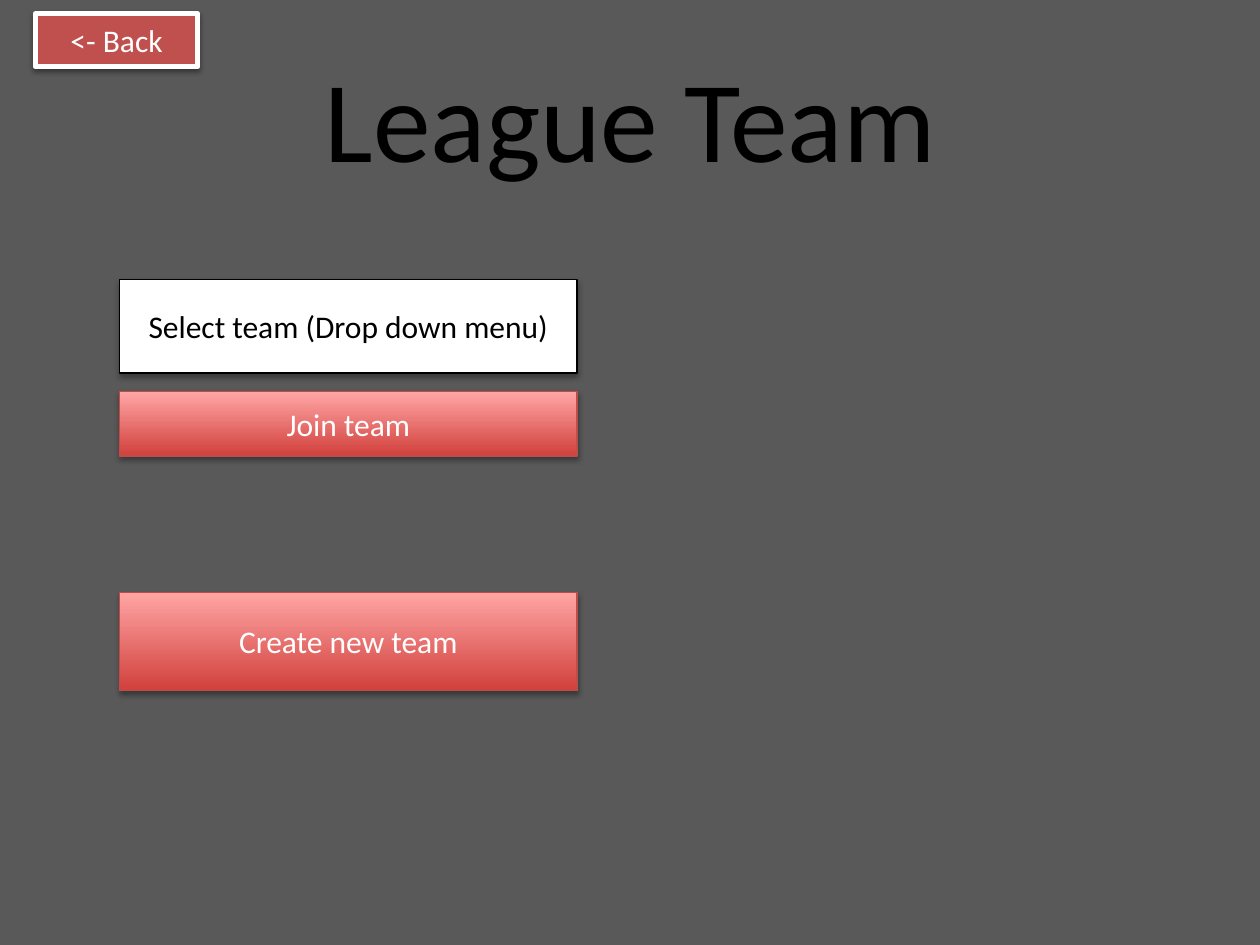
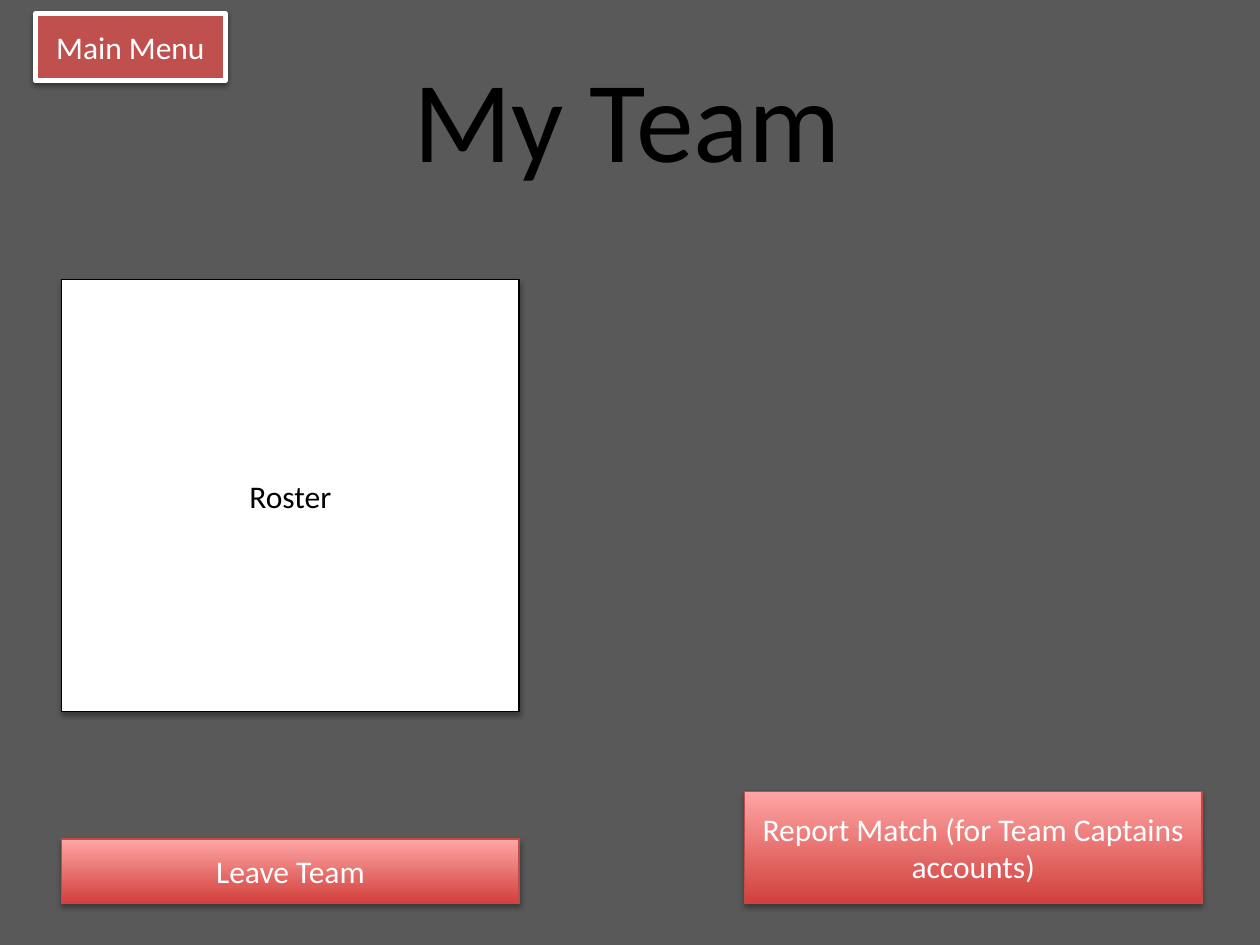
from dataclasses import dataclass

from lxml.etree import SubElement
from pptx import Presentation
from pptx.dml.color import RGBColor
from pptx.enum.shapes import MSO_SHAPE
from pptx.enum.text import MSO_ANCHOR, MSO_AUTO_SIZE, PP_ALIGN
from pptx.oxml.ns import qn
from pptx.util import Inches, Pt


@dataclass(frozen=True)
class Theme:
    font: str = "Calibri"
    title: int = 66
    label: int = 18
    back: str = "595959"
    black: str = "000000"
    white: str = "FFFFFF"
    brick: str = "C0504D"
    edge: str = "BF4C48"
    deep: str = "D1403C"
    light: str = "FFA6A5"


THEME = Theme()


@dataclass(frozen=True)
class Look:
    fills: tuple[str, ...]
    line: str
    ink: str
    width: float = 0.75
    alpha: int = 35
    drop: float = 1.8


ACTION = Look((THEME.deep, THEME.light), THEME.edge, THEME.white)
FIELD = Look((THEME.white,), THEME.black, THEME.black)
NAV = Look((THEME.brick,), THEME.white, THEME.white, 3, 38, 1.6)


@dataclass(frozen=True)
class Box:
    text: str
    left: float
    top: float
    width: float
    height: float
    look: Look


@dataclass(frozen=True)
class Page:
    title: str
    left: float
    width: float
    boxes: tuple[Box, ...]


WIDE = 3.63
SLIM = 0.51
BODY = 2.22
BASE = 7.17


def nav(text: str, width: float, height: float) -> Box:
    return Box(text, 0.28, 0.11, width, height, NAV)


PAGES = (
    Page("League Team", 2.48, 5.87, (
        Box("Join team", 0.95, 3.11, WIDE, SLIM, ACTION),
        Box("Select team (Drop down menu)", 0.95, BODY, WIDE, 0.74, FIELD),
        Box("Create new team", 0.95, 4.7, WIDE, 0.78, ACTION),
        nav("<- Back", 1.29, 0.42),
    )),
    Page("My Team", 3.18, 6.94, (
        Box("Roster", 0.49, BODY, WIDE, 3.43, FIELD),
        Box("Report Match (for Team Captains accounts)",
            5.91, BASE - 0.89, WIDE, 0.89, ACTION),
        Box("Leave Team", 0.49, BASE - SLIM, WIDE, SLIM, ACTION),
        nav("Main Menu", 1.51, 0.53),
    )),
)


def rgb(code: str) -> RGBColor:
    return RGBColor.from_string(code)


def write(frame, text: str, size: int, ink: str, align: PP_ALIGN) -> None:
    frame.word_wrap = True
    para = frame.paragraphs[0]
    para.text = text
    para.alignment = align
    para.font.name = THEME.font
    para.font.size = Pt(size)
    para.font.color.rgb = rgb(ink)


def shade(shape, look: Look) -> None:
    shape.shadow.inherit = False
    effects = shape._element.spPr.find(qn("a:effectLst"))
    outer = SubElement(effects, qn("a:outerShdw"), blurRad=str(Pt(3.1)),
                       dist=str(Pt(look.drop)), dir="5400000", rotWithShape="0")
    tint = SubElement(outer, qn("a:srgbClr"), val=THEME.black)
    SubElement(tint, qn("a:alpha"), val=str(look.alpha * 1000))


def paint(shape, look: Look) -> None:
    if len(look.fills) == 1:
        shape.fill.solid()
        shape.fill.fore_color.rgb = rgb(look.fills[0])
    else:
        shape.fill.gradient()
        shape.fill.gradient_angle = 90
        for stop, code in zip(shape.fill.gradient_stops, look.fills):
            stop.color.rgb = rgb(code)
    shape.line.color.rgb = rgb(look.line)
    shape.line.width = Pt(look.width)
    shade(shape, look)


def draw_box(slide, box: Box) -> None:
    shape = slide.shapes.add_shape(
        MSO_SHAPE.RECTANGLE, Inches(box.left), Inches(box.top),
        Inches(box.width), Inches(box.height))
    paint(shape, box.look)
    shape.text_frame.vertical_anchor = MSO_ANCHOR.MIDDLE
    write(shape.text_frame, box.text, THEME.label, box.look.ink, PP_ALIGN.CENTER)


def draw_page(deck, page: Page) -> None:
    slide = deck.slides.add_slide(deck.slide_layouts[6])
    slide.background.fill.solid()
    slide.background.fill.fore_color.rgb = rgb(THEME.back)
    title = slide.shapes.add_textbox(
        Inches(page.left), Inches(0.32), Inches(page.width), Inches(1.21))
    write(title.text_frame, page.title, THEME.title, THEME.black, PP_ALIGN.LEFT)
    title.text_frame.auto_size = MSO_AUTO_SIZE.SHAPE_TO_FIT_TEXT
    for box in page.boxes:
        draw_box(slide, box)


deck = Presentation()
deck.slide_width = Inches(10)
deck.slide_height = Inches(7.5)
for page in PAGES:
    draw_page(deck, page)
deck.save("out.pptx")
